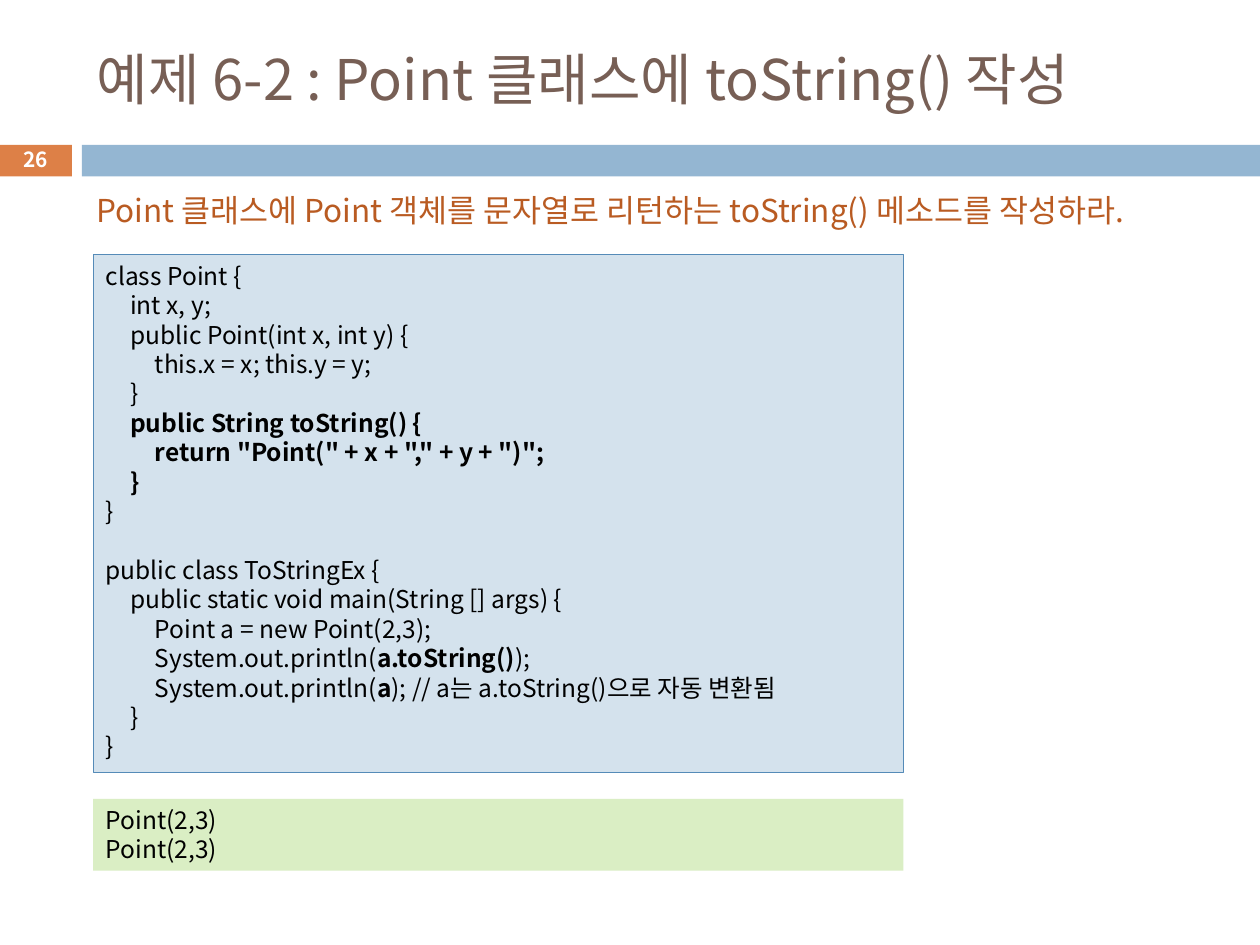
from lxml import etree
from pptx import Presentation
from pptx.dml.color import RGBColor
from pptx.enum.shapes import MSO_SHAPE
from pptx.enum.text import MSO_ANCHOR, PP_ALIGN
from pptx.oxml.ns import qn
from pptx.util import Inches, Pt

RECT = MSO_SHAPE.RECTANGLE
TOP, MID = MSO_ANCHOR.TOP, MSO_ANCHOR.MIDDLE
LEFT, CENTER = PP_ALIGN.LEFT, PP_ALIGN.CENTER
FACE = "Noto Sans CJK KR"
TAB = 0.195

TITLE = "예제 6-2 : Point 클래스에 toString() 작성"
TASK = "Point 클래스에 Point 객체를 문자열로 리턴하는 toString() 메소드를 작성하라."
PAGE = "26"
# "**" switches bold on and off within a line.
CODE = [
    "class Point {",
    "\tint x, y;",
    "\tpublic Point(int x, int y) {",
    "\t\tthis.x = x; this.y = y;",
    "\t}",
    "**\tpublic String toString() {",
    "**\t\treturn \"Point(\" + x + \",\" + y + \")\";",
    "**\t}",
    "}",
    "",
    "public class ToStringEx {",
    "\tpublic static void main(String [] args) {",
    "\t\tPoint a = new Point(2,3);",
    "\t\tSystem.out.println(**a.toString()**);",
    "\t\tSystem.out.println(**a**); // a는 a.toString()으로 자동 변환됨",
    "\t}",
    "}",
]
OUTPUT = ["Point(2,3)"] * 2


def color(code):
    return RGBColor.from_string(code)


def box(area, fill, line=None):
    shape = slide.shapes.add_shape(RECT, *map(Inches, area))
    shape.shadow.inherit = False
    shape.fill.solid()
    shape.fill.fore_color.rgb = color(fill)
    if line:
        shape.line.color.rgb = color(line)
        shape.line.width = Pt(0.75)
    else:
        shape.line.fill.background()
    return shape


def label(area):
    return slide.shapes.add_textbox(*map(Inches, area))


def set_tabs(para):
    stops = etree.SubElement(para._p.get_or_add_pPr(), qn("a:tabLst"))
    for step in (1, 2):
        etree.SubElement(stops, qn("a:tab"), pos=str(Inches(step * TAB)), algn="l")


def write(shape, lines, size, ink, anchor=TOP, align=LEFT, bold=None, lead=1.2):
    frame = shape.text_frame
    frame.word_wrap = True
    frame.vertical_anchor = anchor
    frame.margin_right = 0 if align == LEFT else frame.margin_left
    for row, line in enumerate(lines):
        para = frame.paragraphs[0] if row == 0 else frame.add_paragraph()
        para.alignment = align
        if lead:
            para.line_spacing = Pt(round(size * lead, 1))
        if "\t" in line:
            set_tabs(para)
        font = para.font
        font.name, font.size, font.bold = FACE, Pt(size), bold
        font.color.rgb = color(ink)
        for turn, part in enumerate(line.split("**")):
            if part:
                run = para.add_run()
                run.text = part
                if turn % 2:
                    run.font.bold = True
                east = etree.SubElement(run._r.get_or_add_rPr(), qn("a:ea"))
                east.set("typeface", FACE)


deck = Presentation()
deck.slide_width, deck.slide_height = Inches(10), Inches(7.5)
slide = deck.slides.add_slide(deck.slide_layouts[6])

box((-0.01, 1.15, 0.58, 0.25), "DD8047")
box((0.65, 1.15, 9.35, 0.25), "94B6D2")
write(label((0.67, 0.25, 8.92, 0.74)), [TITLE], 32, "775F55", MID, lead=None)
write(box((0.74, 2.02, 6.43, 4.11), "D4E2ED", "558BB8"), CODE, 14, "000000")
write(box((0.74, 6.34, 6.43, 0.57), "DAEEC4"), OUTPUT, 14, "000000")
write(label((-0.01, 1.13, 0.58, 0.27)), [PAGE], 11.9, "FFFFFF", MID, CENTER, True)
write(label((0.67, 1.47, 8.82, 0.4)), [TASK], 18, "B95B22")

deck.save("out.pptx")
